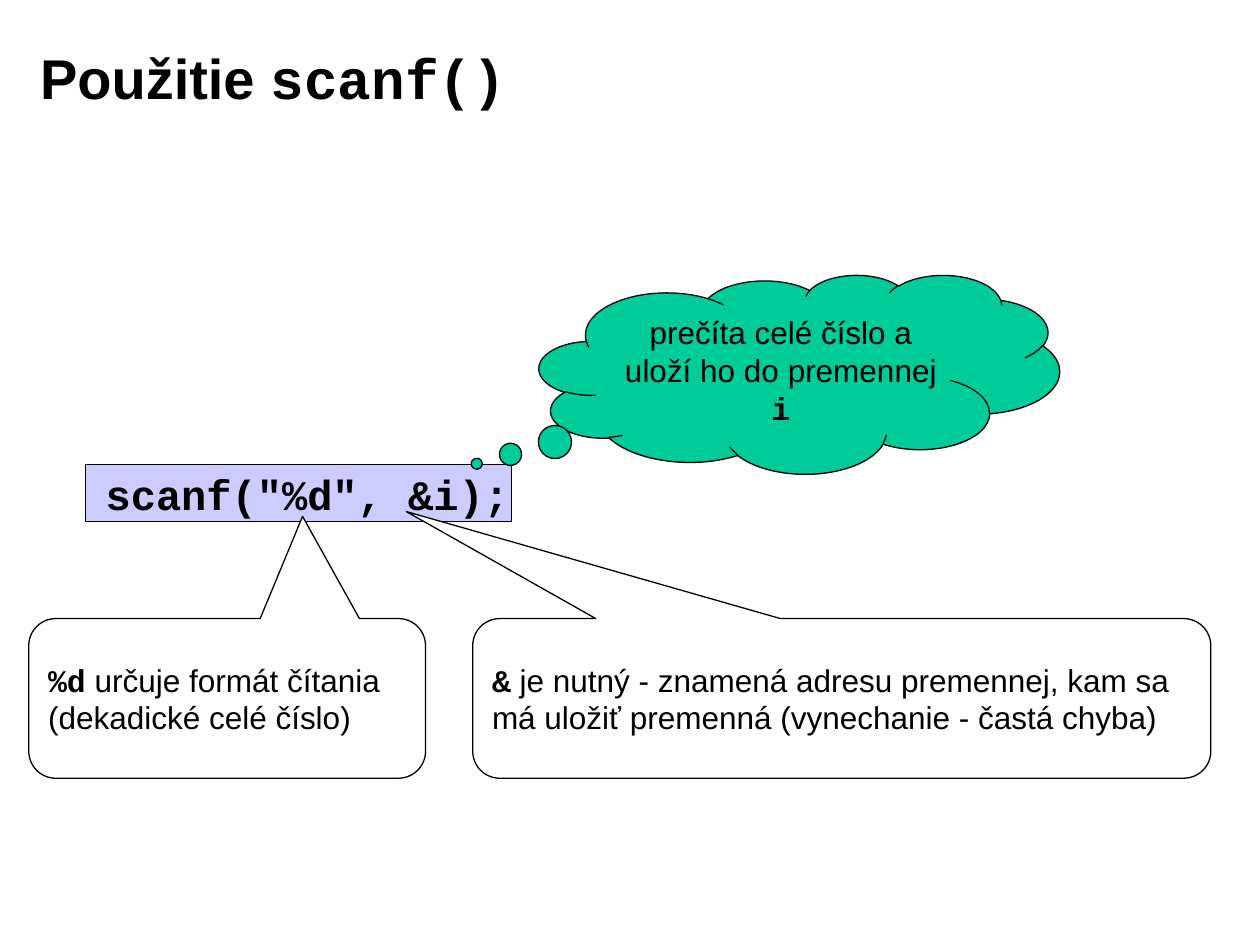
from pptx import Presentation
from pptx import util as u
from pptx.dml.color import RGBColor
from pptx.enum import shapes, text

BODY, CODE = "Arial", "Courier New"
BLACK, WHITE, LILAC, GREEN = "000000", "FFFFFF", "CCCCFF", "00CC99"
LEFT, CENTER = text.PP_ALIGN.LEFT, text.PP_ALIGN.CENTER
MIDDLE, TOP = text.MSO_ANCHOR.MIDDLE, text.MSO_ANCHOR.TOP


def colour(value):
    return RGBColor.from_string(value)


def write(shape, *parts, size=18, bold=(), align=LEFT, anchor=MIDDLE, top=0.13):
    """Write (words, font) parts as one paragraph; fonts listed in bold are bold."""
    frame = shape.text_frame
    frame.word_wrap = True
    frame.vertical_anchor = anchor
    frame.margin_left = frame.margin_right = u.Cm(0.23)
    frame.margin_top, frame.margin_bottom = u.Cm(top), u.Cm(0.13)
    para = frame.paragraphs[0]
    para.alignment = align
    for words, font in parts:
        span = para.add_run()
        span.text = words
        span.font.name = font
        span.font.size = u.Pt(size)
        span.font.bold = font in bold
        span.font.color.rgb = colour(BLACK)


def add_text_box(page, box):
    return page.shapes.add_textbox(*map(u.Cm, box))


def add_outlined(page, kind, box, fill, adjustments=()):
    shape = page.shapes.add_shape(kind, *map(u.Cm, box))
    shape.shadow.inherit = False
    shape.fill.solid()
    shape.fill.fore_color.rgb = colour(fill)
    shape.line.color.rgb = colour(BLACK)
    shape.line.width = u.Pt(0.75)
    for index, value in enumerate(adjustments):
        shape.adjustments[index] = value
    return shape


def add_title(page, box):
    write(add_text_box(page, box), ("Použitie ", BODY), ("scanf()", CODE),
          size=32, bold=(BODY, CODE))


def add_code_line(page, box):
    left, top, width, height = box
    add_outlined(page, shapes.MSO_SHAPE.RECTANGLE, box, LILAC)
    label = add_text_box(page, (left + 0.18, top + 0.03, width + 1, height + 0.1))
    write(label, ('scanf("%d", &i);', CODE), size=24, bold=(CODE,),
          anchor=TOP, top=0.05)


def add_thought(page, box):
    cloud = add_outlined(page, shapes.MSO_SHAPE.CLOUD_CALLOUT, box, GREEN,
                         (-0.62, 0.45))
    write(cloud, ("prečíta celé číslo a uloží ho do premennej ", BODY),
          ("i", CODE), bold=(CODE,), align=CENTER)


def add_note(page, box, tip, term, explanation):
    """Add a callout whose tip is given as shares of its size from its centre."""
    note = add_outlined(page, shapes.MSO_SHAPE.ROUNDED_RECTANGULAR_CALLOUT, box,
                        WHITE, (*tip, 0.17))
    write(note, (term, CODE), (explanation, BODY), bold=(CODE,))


def main():
    deck = Presentation()
    deck.slide_width, deck.slide_height = u.Cm(25.4), u.Cm(19.05)
    page = deck.slides.add_slide(deck.slide_layouts[6])
    add_title(page, (0.58, 0.38, 20.4, 2.36))
    add_code_line(page, (1.72, 9.37, 8.59, 1.14))
    add_thought(page, (10.87, 5.54, 10.49, 4.01))
    note_top, note_height = 12.47, 3.22
    add_note(page, (0.58, note_top, 8, note_height), (0.19, -1.14),
             "%d", " určuje formát čítania (dekadické celé číslo)")
    add_note(page, (9.53, note_top, 14.88, note_height), (-0.59, -1.17),
             "&", " je nutný - znamená adresu premennej, kam sa má uložiť "
             "premenná (vynechanie - častá chyba)")
    deck.save("out.pptx")


if __name__ == "__main__":
    main()
